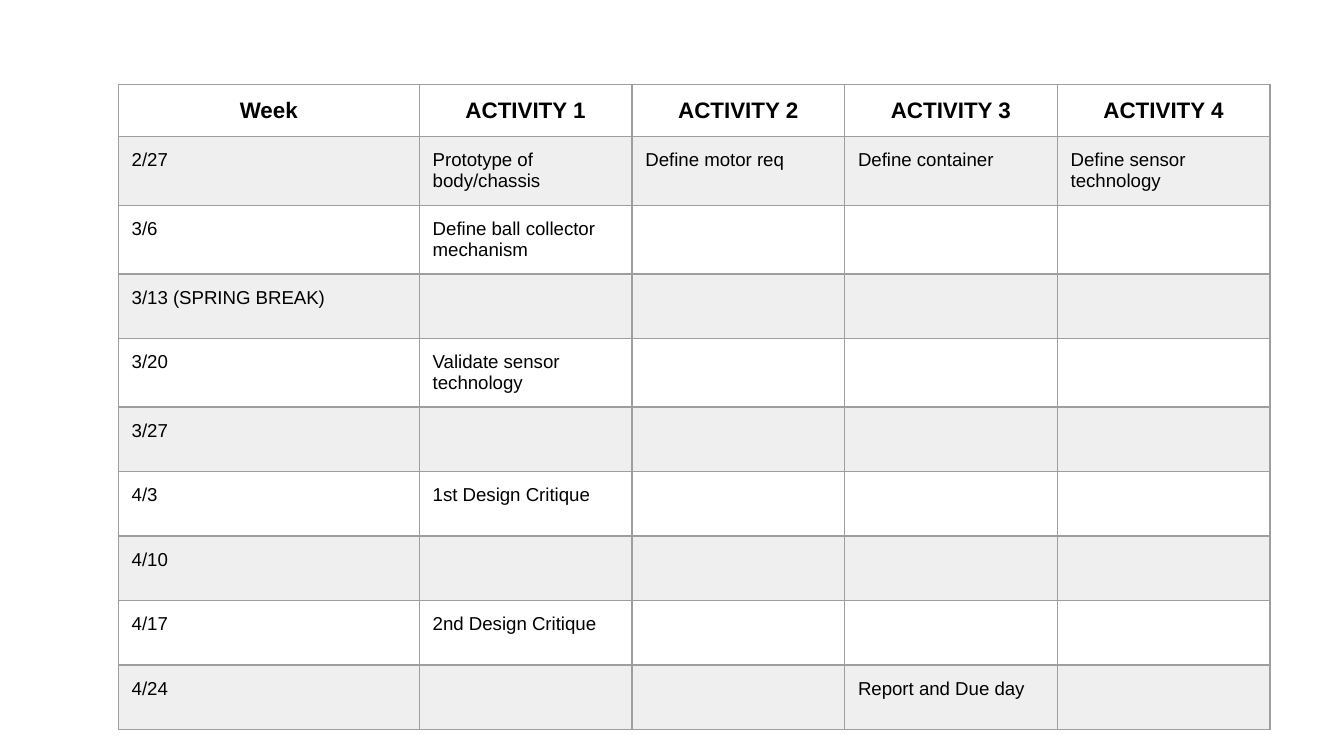
from dataclasses import dataclass

from lxml.etree import SubElement
from pptx import Presentation
from pptx.dml.color import RGBColor
from pptx.enum.text import PP_ALIGN
from pptx.oxml.ns import qn
from pptx.util import Inches, Pt


@dataclass(frozen=True)
class Theme:
    font: str = "Arial"
    head: int = 12
    body: int = 10
    ink: str = "000000"
    band: str = "EFEFEF"
    rule: str = "9E9E9E"
    line: float = 0.75


theme = Theme()

plan = [
    ["Week", "ACTIVITY 1", "ACTIVITY 2", "ACTIVITY 3", "ACTIVITY 4"],
    ["2/27", "Prototype of body/chassis", "Define motor req",
     "Define container", "Define sensor technology"],
    ["3/6", "Define ball collector mechanism", "", "", ""],
    ["3/13 (SPRING BREAK)", "", "", "", ""],
    ["3/20", "Validate sensor technology", "", "", ""],
    ["3/27", "", "", "", ""],
    ["4/3", "1st Design Critique", "", "", ""],
    ["4/10", "", "", "", ""],
    ["4/17", "2nd Design Critique", "", "", ""],
    ["4/24", "", "", "Report and Due day", ""],
]
total, first = 8.57, 2.24
widths = [first] + [(total - first) / 4] * 4
heights = [0.38, 0.51, 0.51, 0.48, 0.51] + [0.48] * 5


def add_rules(cell):
    """Draw the four borders; they must come before the fill in the XML."""
    props = cell._tc.get_or_add_tcPr()
    for side in ("lnL", "lnR", "lnT", "lnB"):
        edge = SubElement(props, qn(f"a:{side}"), w=str(Pt(theme.line)))
        paint = SubElement(edge, qn("a:solidFill"))
        SubElement(paint, qn("a:srgbClr"), val=theme.rule)


deck = Presentation()
deck.slide_width, deck.slide_height = Inches(10), Inches(10 * 9 / 16)
slide = deck.slides.add_slide(deck.slide_layouts[6])

frame = slide.shapes.add_table(
    len(plan), len(widths), Inches(0.88), Inches(0.63),
    Inches(total), Inches(sum(heights)))
table = frame.table
table.first_row = table.horz_banding = False
for col, width in zip(table.columns, widths):
    col.width = Inches(width)
for row, height in zip(table.rows, heights):
    row.height = Inches(height)

for r, words in enumerate(plan):
    for c, text in enumerate(words):
        cell = table.cell(r, c)
        add_rules(cell)
        cell.margin_left = cell.margin_right = Inches(0.1)
        cell.margin_top = cell.margin_bottom = Inches(0.1)
        if r % 2:
            cell.fill.solid()
            cell.fill.fore_color.rgb = RGBColor.from_string(theme.band)
        else:
            cell.fill.background()
        cell.text = text
        para = cell.text_frame.paragraphs[0]
        para.alignment = PP_ALIGN.LEFT if r else PP_ALIGN.CENTER
        para.font.name = theme.font
        para.font.size = Pt(theme.body if r else theme.head)
        para.font.bold = r == 0
        para.font.color.rgb = RGBColor.from_string(theme.ink)
        if not text:  # keeps a blank cell from stretching its row
            SubElement(para._p, qn("a:endParaRPr"), sz=str(theme.body * 100))

deck.save("out.pptx")
